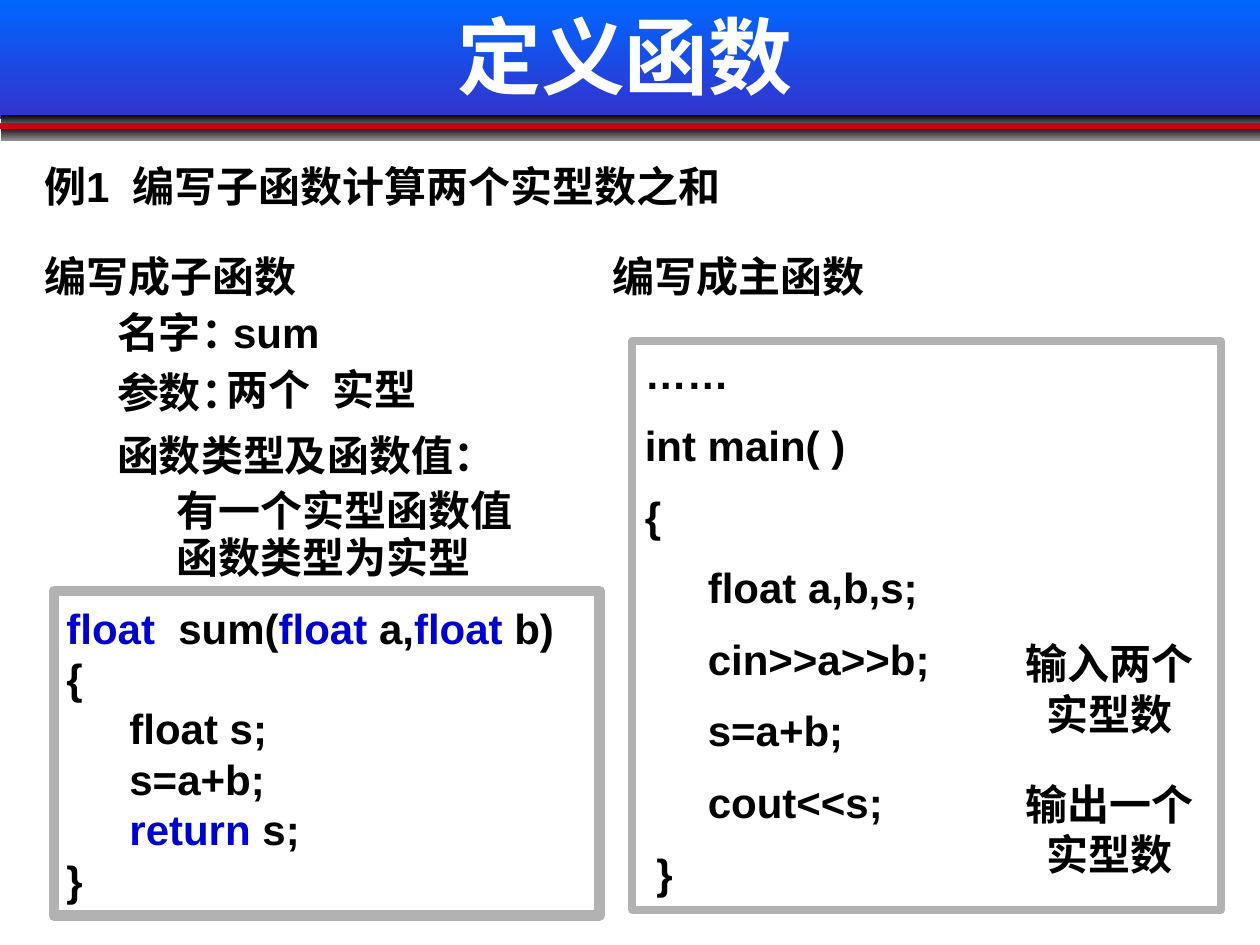
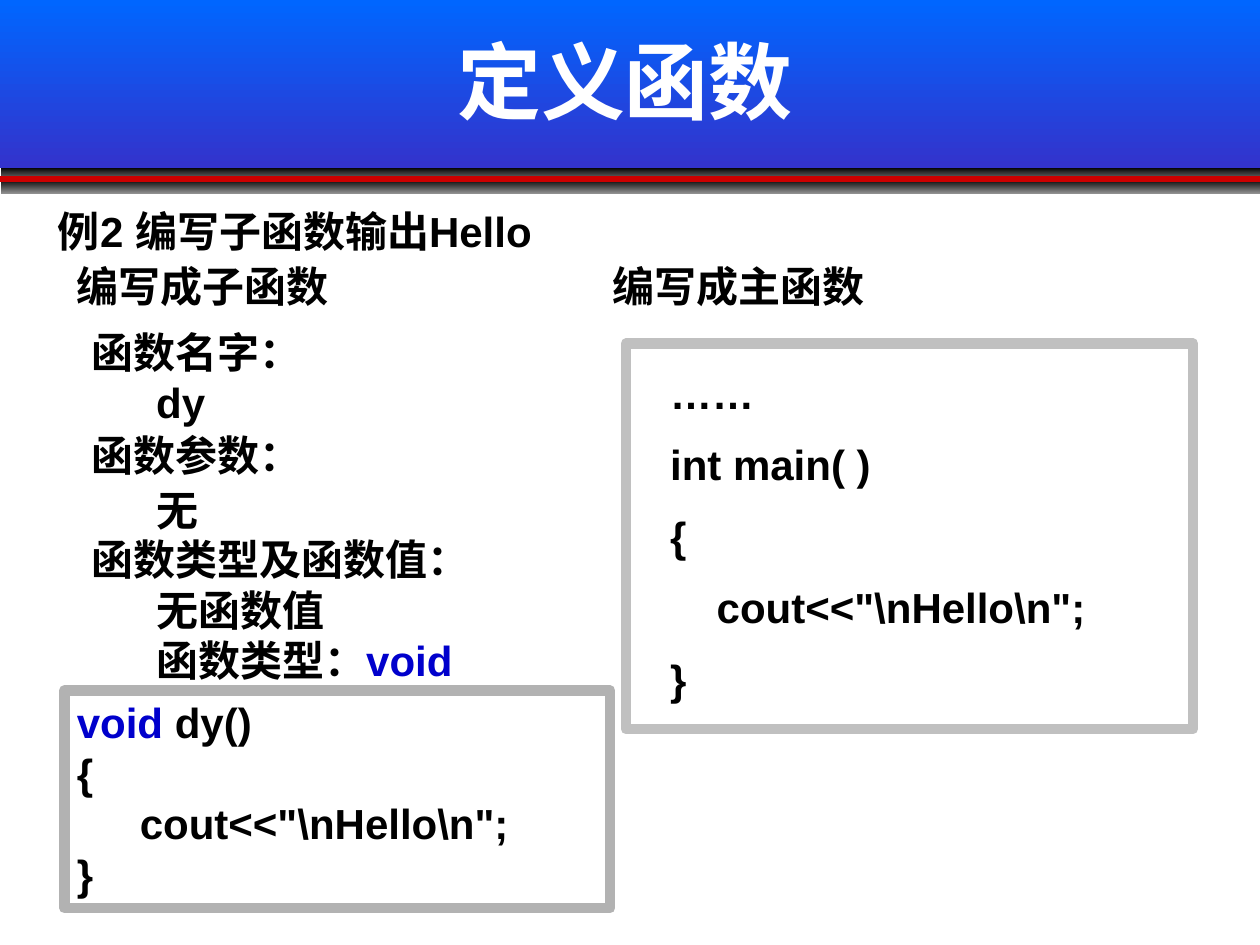
from pptx import Presentation
from pptx.dml.color import RGBColor
from pptx.enum import shapes, text
from pptx.oxml import parse_xml
from pptx.oxml.ns import nsdecls
from pptx.util import Cm, Pt

WHITE = RGBColor(0xFF, 0xFF, 0xFF)
BLACK = RGBColor(0, 0, 0)
KEYWORD = RGBColor(0, 0, 0xCC)
SKY = RGBColor(0, 0x66, 0xFF)
INDIGO = RGBColor(0x33, 0x33, 0xCC)
ASH = RGBColor(0x92, 0x92, 0x92)
RED = RGBColor(0xCC, 0, 0)
GREY = RGBColor(0xB2, 0xB2, 0xB2)
SILVER = RGBColor(0xC0, 0xC0, 0xC0)
LATIN, HAN = "Arial", "Noto Sans CJK SC"
CENTER, LEFT = text.PP_ALIGN.CENTER, text.PP_ALIGN.LEFT
TOP, MIDDLE = text.MSO_ANCHOR.TOP, text.MSO_ANCHOR.MIDDLE

# One row per slide: title top, band height, strip tops
HEADERS = [(-0.51, 2.41, (2.31, 2.54)), (0, 3.38, (3.38, 3.61))]

# Labels: left, top, width, height, font, alignment, lines
LABELS = [
    [
        (0.64, 3.12, 22.07, 1.27, LATIN, LEFT, ["例1  编写子函数计算两个实型数之和"]),
        (0.64, 4.93, 8.26, 1.32, HAN, LEFT, ["编写成子函数"]),
        (12.09, 4.93, 8.26, 1.32, HAN, LEFT, ["编写成主函数"]),
        (2.11, 6.05, 3.38, 1.27, HAN, LEFT, ["名字："]),
        (4.45, 6.05, 3.38, 1.27, LATIN, LEFT, ["sum"]),
        (2.11, 7.26, 5.99, 1.27, HAN, LEFT, ["参数："]),
        (4.32, 7.21, 2.74, 1.27, HAN, LEFT, ["两个"]),
        (6.45, 7.21, 2.74, 1.27, HAN, LEFT, ["实型"]),
        (2.11, 8.53, 7.49, 1.3, HAN, LEFT, ["函数类型及函数值："]),
        (3.3, 9.65, 8.76, 1.3, HAN, LEFT, ["有一个实型函数值"]),
        (3.3, 10.59, 7.8, 1.3, HAN, LEFT, ["函数类型为实型"]),
        (20.37, 12.73, 3.99, 2.31, HAN, CENTER, ["输入两个实型数"]),
        (20.37, 15.57, 3.99, 2.31, HAN, CENTER, ["输出一个实型数"]),
    ],
    [
        (0.92, 4.01, 20.19, 1.3, LATIN, LEFT, ["例2 编写子函数输出Hello"]),
        (1.3, 5.13, 8.28, 1.32, HAN, LEFT, ["编写成子函数"]),
        (12.09, 5.13, 8.26, 1.32, HAN, LEFT, ["编写成主函数"]),
        (1.6, 6.45, 5.49, 1.27, HAN, LEFT, ["函数名字："]),
        (2.9, 7.47, 2.74, 1.27, LATIN, LEFT, ["dy"]),
        (1.6, 8.53, 4.09, 1.27, HAN, LEFT, ["函数参数："]),
        (2.9, 9.65, 2.74, 1.27, LATIN, LEFT, ["无"]),
        (1.6, 10.64, 9.7, 1.3, HAN, LEFT, ["函数类型及函数值："]),
        (2.9, 11.66, 8.41, 2.31, LATIN, LEFT, ["无函数值", "函数类型：|void|"]),
    ],
]

# Code frames: left, top, width, height, border, border points, anchor,
# left inset, top inset, space before, lines (keywords between bars)
FRAMES = [
    [
        (1.09, 11.91, 11, 6.55, GREY, 6, MIDDLE, 0.25, 0.13, 0,
         ["|float|  sum(|float |a,|float| b)", "{", "\tfloat s;", "\ts=a+b;",
          "\t|return| s;", "}"]),
        (12.75, 6.88, 11.86, 11.46, GREY, 4.5, TOP, 0.25, 0.13, 12,
         ["……", "int main( )", "{", "\tfloat a,b,s;", "\tcin>>a>>b;", "\ts=a+b;",
          "\tcout<<s;", " }"]),
    ],
    [
        (12.62, 6.93, 11.43, 7.77, SILVER, 6, TOP, 0.89, 0.48, 12,
         ["……", "int main( )", "{", '    cout<<"\\nHello\\n";', "}"]),
        (1.3, 13.92, 11, 4.39, GREY, 6, TOP, 0.25, 0.13, 0,
         ["|void |dy()", "{", '\tcout<<"\\nHello\\n";', "}"]),
    ],
]


def write(frame, lines, font_name=LATIN, align=LEFT, size=24, color=BLACK, before=0):
    """Fill a text frame; parts between bars take the keyword colour."""
    frame.word_wrap = True
    frame.auto_size = text.MSO_AUTO_SIZE.NONE
    for row, line in enumerate(lines):
        paragraph = frame.paragraphs[0] if row == 0 else frame.add_paragraph()
        paragraph.alignment = align
        paragraph.space_before = Pt(before if row else 0)
        for part, words in enumerate(line.split("|")):
            if not words:
                continue
            run = paragraph.add_run()
            run.text = words
            style = {"name": font_name, "size": Pt(size), "bold": True}
            for key, value in style.items():
                setattr(run.font, key, value)
            run.font.color.rgb = KEYWORD if part % 2 else color
            run.font._element.append(
                parse_xml(f'<a:ea {nsdecls("a")} typeface="{HAN}"/>'))


def add_bar(slide, left, top, width, height, start, end):
    """Add a borderless bar with a gradient running downwards."""
    bar = slide.shapes.add_shape(
        shapes.MSO_SHAPE.RECTANGLE, Cm(left), Cm(top), Cm(width), Cm(height))
    bar.shadow.inherit = False
    bar.line.fill.background()
    bar.fill.gradient()
    bar.fill.gradient_angle = 270
    for stop, color, position in zip(bar.fill.gradient_stops, (start, end), (0, 1)):
        stop.color.rgb = color
        stop.position = position


deck = Presentation()
deck.slide_width, deck.slide_height = Cm(25.4), Cm(19.05)

for header, labels, frames in zip(HEADERS, LABELS, FRAMES):
    slide = deck.slides.add_slide(deck.slide_layouts[5])
    title_top, band_height, strip_tops = header

    # Header band, shaded strips and red rule
    add_bar(slide, 0, 0, 25.4, band_height, SKY, INDIGO)
    for strip_top in strip_tops:
        add_bar(slide, 0.03, strip_top, 25.37, 0.3, BLACK, ASH)
    rule_y = Cm(strip_tops[-1])
    rule = slide.shapes.add_connector(
        shapes.MSO_CONNECTOR.STRAIGHT, 0, rule_y, Cm(25.4), rule_y)
    rule.line.color.rgb = RED
    rule.line.width = Pt(3)
    rule._element.spPr.append(parse_xml(f'<a:effectLst {nsdecls("a")}/>'))

    # Title, brought in front of the band
    title = slide.shapes.title
    place = {"left": Cm(1.07), "top": Cm(title_top), "width": Cm(23.06), "height": Cm(3.23)}
    for key, value in place.items():
        setattr(title, key, value)
    title.text_frame.vertical_anchor = MIDDLE
    write(title.text_frame, ["定义函数"], align=CENTER, size=48, color=WHITE)
    title.element.getparent().append(title.element)

    # Code frames
    for left, top, width, height, border, points, anchor, inset, drop, before, code in frames:
        listing = slide.shapes.add_shape(
            shapes.MSO_SHAPE.RECTANGLE, Cm(left), Cm(top), Cm(width), Cm(height))
        listing.shadow.inherit = False
        listing.fill.solid()
        listing.fill.fore_color.rgb = WHITE
        listing.line.color.rgb = border
        listing.line.width = Pt(points)
        layout = {"vertical_anchor": anchor, "margin_left": Cm(inset), "margin_top": Cm(drop)}
        for key, value in layout.items():
            setattr(listing.text_frame, key, value)
        write(listing.text_frame, code, before=before)

    # Headings, notes and captions
    for left, top, width, height, font_name, align, lines in labels:
        label = slide.shapes.add_textbox(Cm(left), Cm(top), Cm(width), Cm(height))
        write(label.text_frame, lines, font_name, align)

deck.save("out.pptx")
